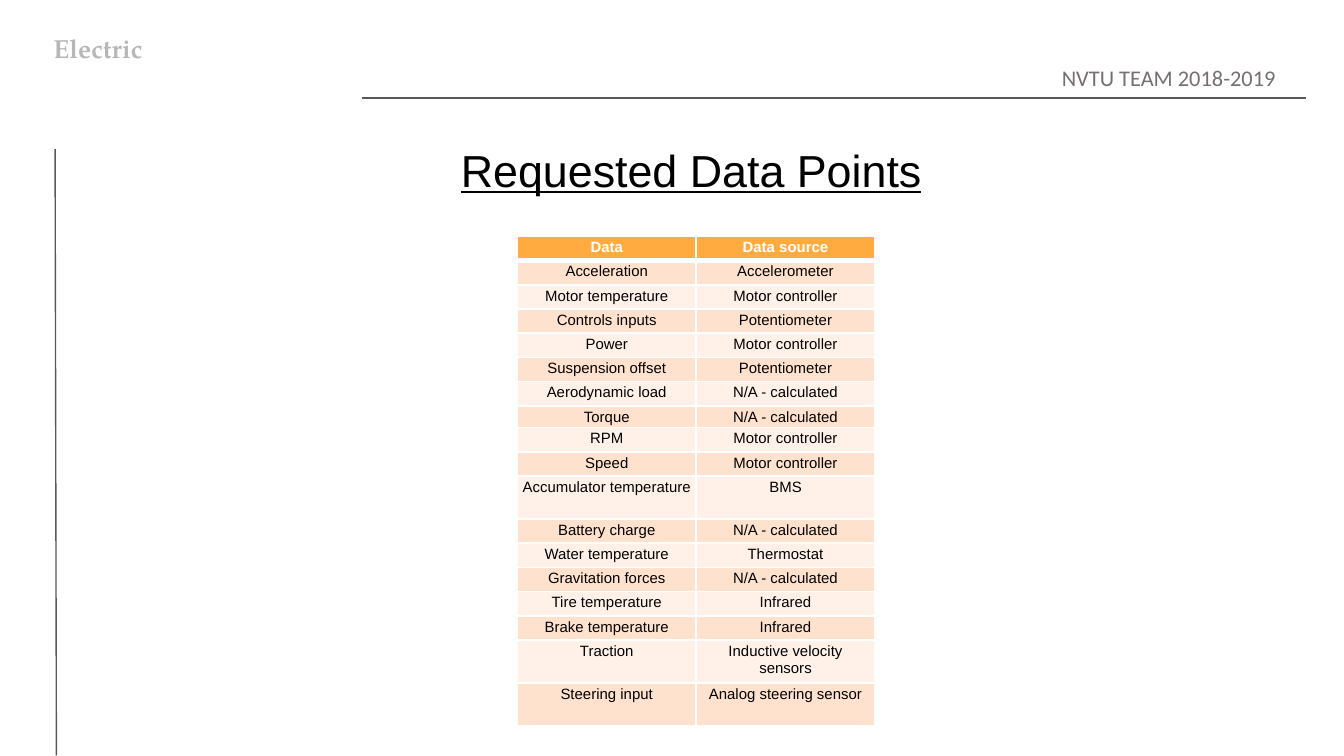
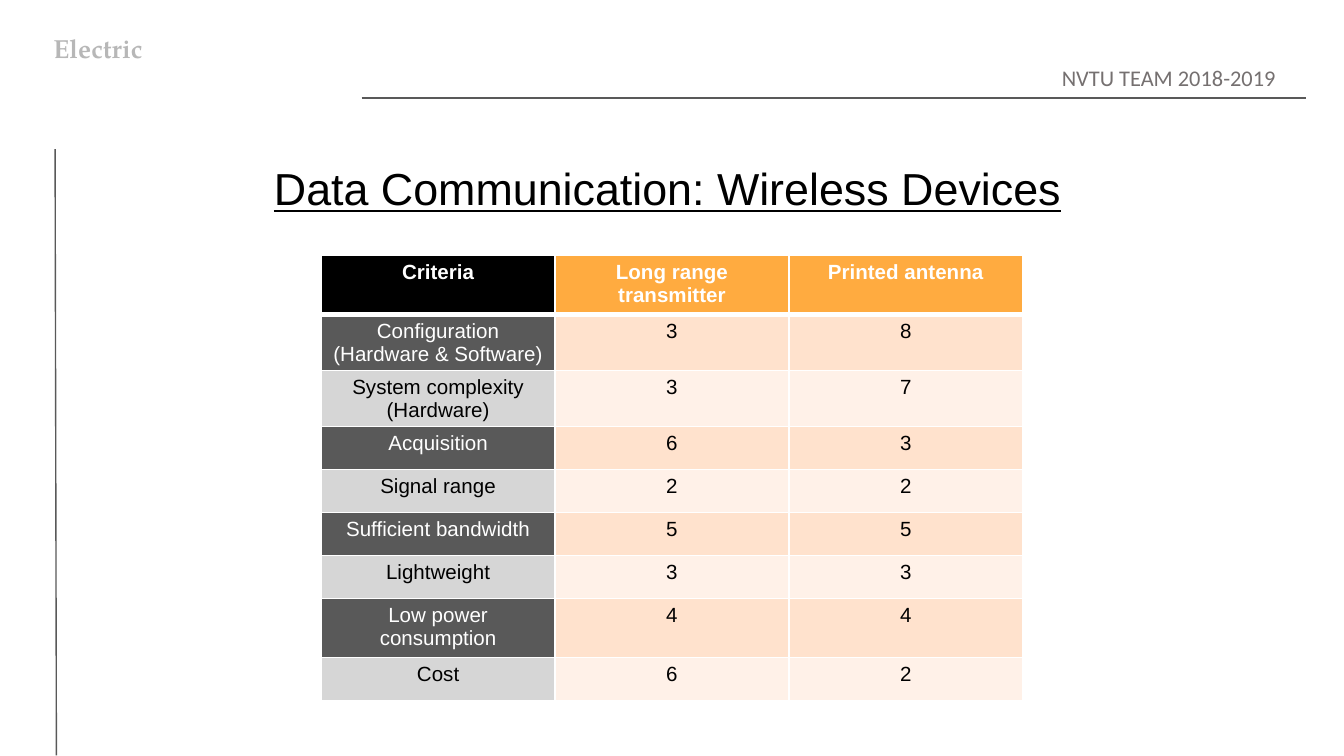
"""Build two slides of data tables for a race team's electric system."""
from dataclasses import dataclass

from lxml.etree import SubElement
from pptx import Presentation
from pptx.dml.color import RGBColor
from pptx.enum.shapes import MSO_CONNECTOR
from pptx.enum.text import PP_ALIGN
from pptx.oxml.ns import qn
from pptx.util import Inches, Pt


@dataclass(frozen=True)
class Theme:
    black: str = "000000"
    white: str = "FFFFFF"
    rule: str = "595959"
    tag: str = "B7B7B7"
    team: str = "757070"
    head: str = "FFAB40"
    bands: tuple = ("FFE2CD", "FFF1E8")
    grays: tuple = ("595959", "D6D6D6")
    font: str = "Arial"
    tag_font: str = "TeX Gyre Pagella"
    team_font: str = "Calibri"
    title_size: int = 24
    tag_size: int = 14
    team_size: int = 12
    rule_size: float = 0.75
    edge: int = 1
    thick: int = 3


THEME = Theme()

POINTS = [
    ("Data", "Data source"),
    ("Acceleration", "Accelerometer"),
    ("Motor temperature", "Motor controller"),
    ("Controls inputs", "Potentiometer"),
    ("Power", "Motor controller"),
    ("Suspension offset", "Potentiometer"),
    ("Aerodynamic load", "N/A - calculated"),
    ("Torque", "N/A - calculated"),
    ("RPM", "Motor controller"),
    ("Speed", "Motor controller"),
    ("Accumulator temperature", "BMS"),
    ("Battery charge", "N/A - calculated"),
    ("Water temperature", "Thermostat"),
    ("Gravitation forces", "N/A - calculated"),
    ("Tire temperature", "Infrared"),
    ("Brake temperature", "Infrared"),
    ("Traction", "Inductive velocity sensors"),
    ("Steering input", "Analog steering sensor"),
]

SCORES = [
    ("Criteria", "Long range transmitter", "Printed antenna"),
    ("Configuration\n(Hardware & Software)", "3", "8"),
    ("System complexity\n(Hardware)", "3", "7"),
    ("Acquisition", "6", "3"),
    ("Signal range", "2", "2"),
    ("Sufficient bandwidth", "5", "5"),
    ("Lightweight", "3", "3"),
    ("Low power consumption", "4", "4"),
    ("Cost", "6", "2"),
]

SLIDES = [
    dict(title="Requested Data Points", box=(3.33, 1.01, 3.71, 0.66),
         grid=dict(rows=POINTS, spot=(3.85, 1.76), wide=1.33, high=0.18,
                   odd={7: 0.16, 10: 0.32, 16: 0.32, 17: 0.32},
                   size=8, pad=(0.03, 0.02, 0.01), keyed=False)),
    dict(title="Data Communication: Wireless Devices", box=(1.94, 1.15, 6.3, 1.31),
         grid=dict(rows=SCORES, spot=(2.39, 1.9), wide=1.74, high=0.32,
                   odd={0: 0.44, 7: 0.44},
                   size=11, pad=(0.08, 0.04, 0.01), keyed=True)),
]

RULES = [(2.69, 0.73, 9.72, 0.73), (0.41, 1.11, 0.42, 5.62)]


def add_run(para, text, size, color, font=THEME.font, bold=False, under=False):
    run = para.add_run()
    run.text = text
    style = run.font
    style.name, style.size = font, Pt(size)
    style.bold, style.underline = bold, under
    style.color.rgb = RGBColor.from_string(color)


def add_label(slide, box, text, size, color, pad, align=PP_ALIGN.LEFT, **style):
    frame = slide.shapes.add_textbox(*map(Inches, box)).text_frame
    frame.word_wrap = True
    frame.margin_left = frame.margin_right = Inches(0.1)
    frame.margin_top = frame.margin_bottom = Inches(pad)
    para = frame.paragraphs[0]
    para.alignment = align
    add_run(para, text, size, color, **style)


def add_rule(slide, ends):
    line = slide.shapes.add_connector(MSO_CONNECTOR.STRAIGHT, *map(Inches, ends))
    line.line.color.rgb = RGBColor.from_string(THEME.rule)
    line.line.width = Pt(THEME.rule_size)
    SubElement(line.element.spPr, qn("a:effectLst"))


def add_frame(slide):
    add_label(slide, (0.3, 0.14, 1.27, 0.96), "Electric", THEME.tag_size,
              THEME.tag, 0.1, font=THEME.tag_font, bold=True)
    for ends in RULES:
        add_rule(slide, ends)
    add_label(slide, (7.44, 0.38, 2.15, 0.29), "NVTU TEAM 2018-2019", THEME.team_size,
              THEME.team, 0.1, PP_ALIGN.RIGHT, font=THEME.team_font)


def set_edges(cell, row):
    props = cell._tc.get_or_add_tcPr()
    widths = dict(L=THEME.edge, R=THEME.edge,
                  T=THEME.thick if row == 1 else THEME.edge,
                  B=THEME.thick if row == 0 else THEME.edge)
    for side, width in widths.items():
        line = SubElement(props, qn(f"a:ln{side}"), w=str(Pt(width)))
        fill = SubElement(line, qn("a:solidFill"))
        SubElement(fill, qn("a:srgbClr"), val=THEME.white)


def pick_colors(row, key):
    if row == 0:
        return THEME.black if key else THEME.head, THEME.white
    band = (row - 1) % 2
    if key:
        return THEME.grays[band], (THEME.white, THEME.black)[band]
    return THEME.bands[band], THEME.black


def fill_cell(cell, text, row, key, size, pad):
    side, top, base = map(Inches, pad)
    cell.margin_left = cell.margin_right = side
    cell.margin_top, cell.margin_bottom = top, base
    set_edges(cell, row)
    back, ink = pick_colors(row, key)
    cell.fill.solid()
    cell.fill.fore_color.rgb = RGBColor.from_string(back)
    frame = cell.text_frame
    for spot, part in enumerate(text.split("\n")):
        para = frame.add_paragraph() if spot else frame.paragraphs[0]
        para.alignment = PP_ALIGN.CENTER
        add_run(para, part, size, ink, bold=row == 0)


def add_grid(slide, rows, spot, wide, high, odd, size, pad, keyed):
    count = len(rows[0])
    highs = [odd.get(row, high) for row in range(len(rows))]
    box = (*spot, wide * count, sum(highs))
    table = slide.shapes.add_table(len(rows), count, *map(Inches, box)).table
    table.first_row = table.horz_banding = False
    for col in table.columns:
        col.width = Inches(wide)
    for row, texts in enumerate(rows):
        table.rows[row].height = Inches(highs[row])
        for col, text in enumerate(texts):
            fill_cell(table.cell(row, col), text, row, keyed and col == 0, size, pad)


def main():
    deck = Presentation()
    deck.slide_width = Inches(10)
    deck.slide_height = deck.slide_width * 9 // 16
    for page in SLIDES:
        slide = deck.slides.add_slide(deck.slide_layouts[6])
        add_frame(slide)
        add_label(slide, page["box"], page["title"], THEME.title_size,
                  THEME.black, 0.05, under=True)
        add_grid(slide, **page["grid"])
    deck.save("out.pptx")


if __name__ == "__main__":
    main()
